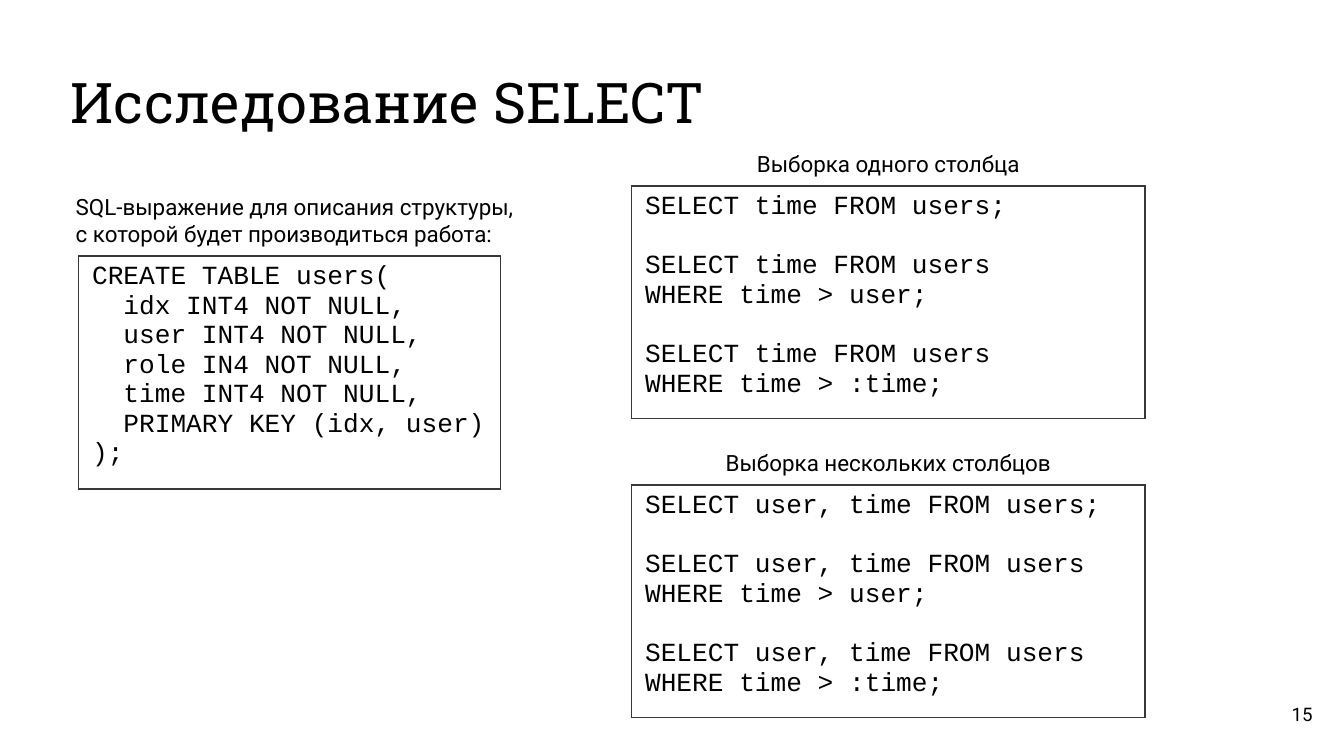
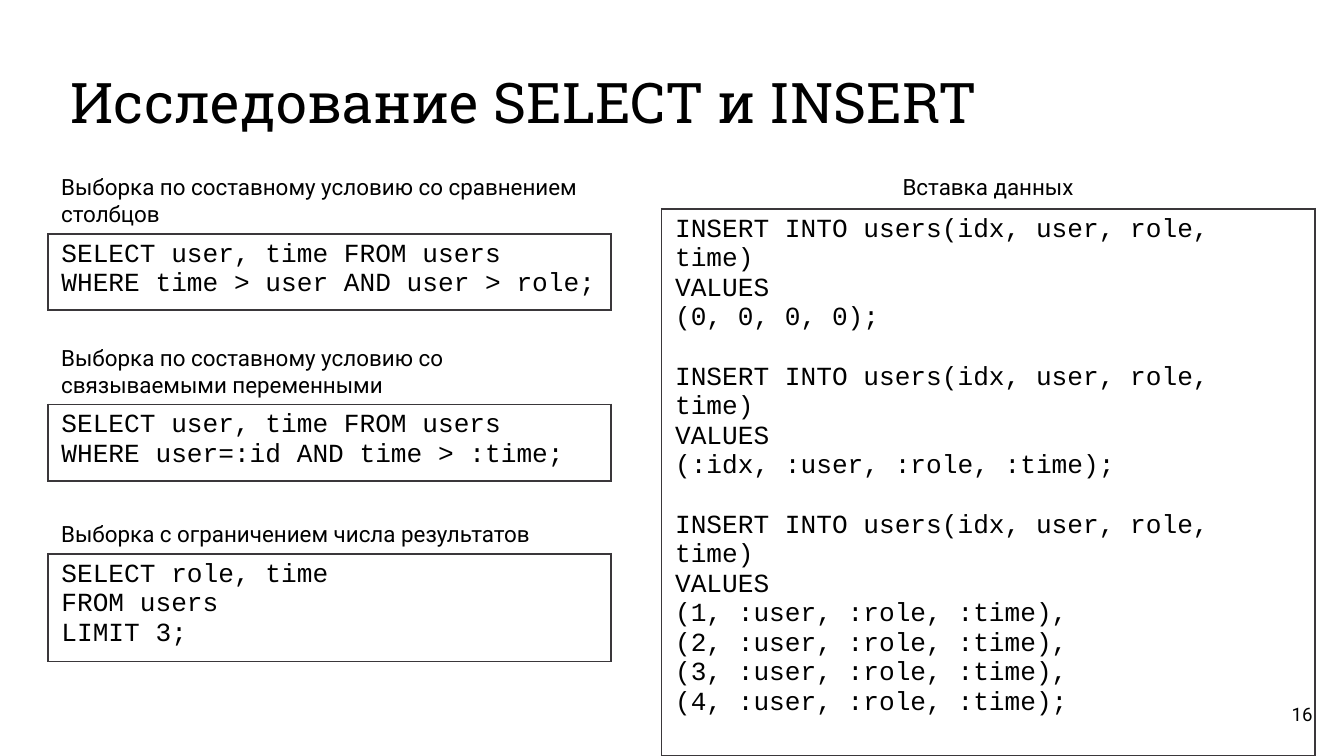
import dataclasses

import lxml.etree
import pptx
import pptx.dml.color
import pptx.enum.text
import pptx.oxml.ns
import pptx.util

ALIGN = pptx.enum.text.PP_ALIGN
ANCHOR = pptx.enum.text.MSO_ANCHOR
NAME = pptx.oxml.ns.qn


@dataclasses.dataclass(frozen=True)
class Theme:
    cell: float = 0.1
    columns: float = 100
    rows: float = 56.25
    ink: str = "000000"
    border: str = "3A373A"
    border_width: float = 1
    title_font: str = "Roboto Slab"
    body_font: str = "Roboto"
    code_font: str = "Courier New"
    title_size: int = 30
    caption_size: int = 12
    code_size: int = 14
    number_size: int = 10
    statement_gap: float = 15.86


THEME = Theme()


def grid(count):
    return pptx.util.Inches(count * THEME.cell)


def style_paragraph(para, font, size, align=ALIGN.LEFT):
    para.alignment = align
    for span in para.runs:
        span.font.name = font
        span.font.size = pptx.util.Pt(size)
        span.font.color.rgb = pptx.dml.color.RGBColor.from_string(THEME.ink)
    lxml.etree.SubElement(para._p, NAME("a:endParaRPr"), sz=str(size * 100))


def add_text(page, area, text, font, size, align=ALIGN.LEFT, anchor=ANCHOR.TOP, inset=0.5):
    box = page.shapes.add_textbox(*map(grid, area))
    frame = box.text_frame
    frame.word_wrap = True
    frame.vertical_anchor = anchor
    frame.margin_left = frame.margin_right = grid(1)
    frame.margin_top = frame.margin_bottom = grid(inset)
    frame.text = text
    for para in frame.paragraphs:
        style_paragraph(para, font, size, align)


def outline_cell(cell):
    properties = cell._tc.get_or_add_tcPr()
    for position, side in enumerate(("a:lnL", "a:lnR", "a:lnT", "a:lnB")):
        line = lxml.etree.Element(NAME(side), w=str(pptx.util.Pt(THEME.border_width)))
        fill = lxml.etree.SubElement(line, NAME("a:solidFill"))
        lxml.etree.SubElement(fill, NAME("a:srgbClr"), val=THEME.border)
        properties.insert(position, line)


def add_code(page, area, statements):
    table = page.shapes.add_table(1, 1, *map(grid, area)).table
    table.first_row = False
    table.horz_banding = False
    cell = table.cell(0, 0)
    cell.fill.background()
    outline_cell(cell)
    cell.text_frame.text = "\n".join(statements)
    paragraphs = iter(cell.text_frame.paragraphs)
    for index, statement in enumerate(statements):
        for line_index in range(len(statement.split("\n"))):
            para = next(paragraphs)
            style_paragraph(para, THEME.code_font, THEME.code_size)
            if index and line_index == 0:
                para.space_before = pptx.util.Pt(THEME.statement_gap)


def add_caption(page, left, bottom, width, text, lines=1, align=ALIGN.LEFT):
    height = 1 + 2 * lines
    add_text(page, (left, bottom - height, width, height), text,
             THEME.body_font, THEME.caption_size, align)


def add_page(deck, title, number):
    page = deck.slides.add_slide(deck.slide_layouts[6])
    add_text(page, (4.25, 3.5, 91.5, 7.5), title, THEME.title_font,
             THEME.title_size, anchor=ANCHOR.BOTTOM, inset=1)
    add_text(page, (92.65, 51, 6, 4.3), str(number), THEME.body_font,
             THEME.number_size, ALIGN.RIGHT, ANCHOR.MIDDLE, inset=1)
    return page


def add_select_page(deck):
    page = add_page(deck, "Исследование SELECT", 15)
    structure = """CREATE TABLE users(
  idx INT4 NOT NULL,
  user INT4 NOT NULL,
  role IN4 NOT NULL,
  time INT4 NOT NULL,
  PRIMARY KEY (idx, user)
);"""
    add_caption(page, 4.65, 18.9, 34.9,
                "SQL-выражение для описания структуры,\n"
                "с которой будет производиться работа:", lines=2)
    add_code(page, (5.85, 19.05, 31.4, 16.4), [structure])

    left, width, height = 47, 38.2, 17.3
    selections = (
        ("Выборка одного столбца", "time", 13.85),
        ("Выборка нескольких столбцов", "user, time", 36.1),
    )
    for caption, fields, top in selections:
        query = f"SELECT {fields} FROM users"
        add_caption(page, left, top - 0.15, width, caption, align=ALIGN.CENTER)
        add_code(page, (left, top, width, height), [
            f"{query};",
            f"{query}\nWHERE time > user;",
            f"{query}\nWHERE time > :time;",
        ])


def add_insert_page(deck):
    page = add_page(deck, "Исследование SELECT и INSERT", 16)
    query = "SELECT user, time FROM users\nWHERE "
    left, width = 3.57, 41.9
    selections = (
        ("Выборка по составному условию со сравнением столбцов", 2,
         query + "time > user AND user > role;", 17.4, 5.4),
        ("Выборка по составному условию со связываемыми переменными", 2,
         query + "user=:id AND time > :time;", 30.1, 5.4),
        ("Выборка c ограничением числа результатов", 1,
         "SELECT role, time\nFROM users\nLIMIT 3;", 41.2, 7.6),
    )
    for caption, lines, code, top, height in selections:
        add_caption(page, left, top, width, caption, lines)
        add_code(page, (left, top, width, height), [code])

    insert = "INSERT INTO users(idx, user, role, time)\nVALUES\n"
    rows = ",\n".join(f"({index}, :user, :role, :time)" for index in range(1, 5))
    left, top, width = 49.23, 15.53, 48.6
    add_caption(page, left, top - 0.1, width, "Вставка данных", align=ALIGN.CENTER)
    add_code(page, (left, top, width, 40.7), [
        f"{insert}(0, 0, 0, 0);",
        f"{insert}(:idx, :user, :role, :time);",
        f"{insert}{rows};",
    ])


def main():
    deck = pptx.Presentation()
    deck.slide_width = grid(THEME.columns)
    deck.slide_height = grid(THEME.rows)
    add_select_page(deck)
    add_insert_page(deck)
    deck.save("out.pptx")


if __name__ == "__main__":
    main()
